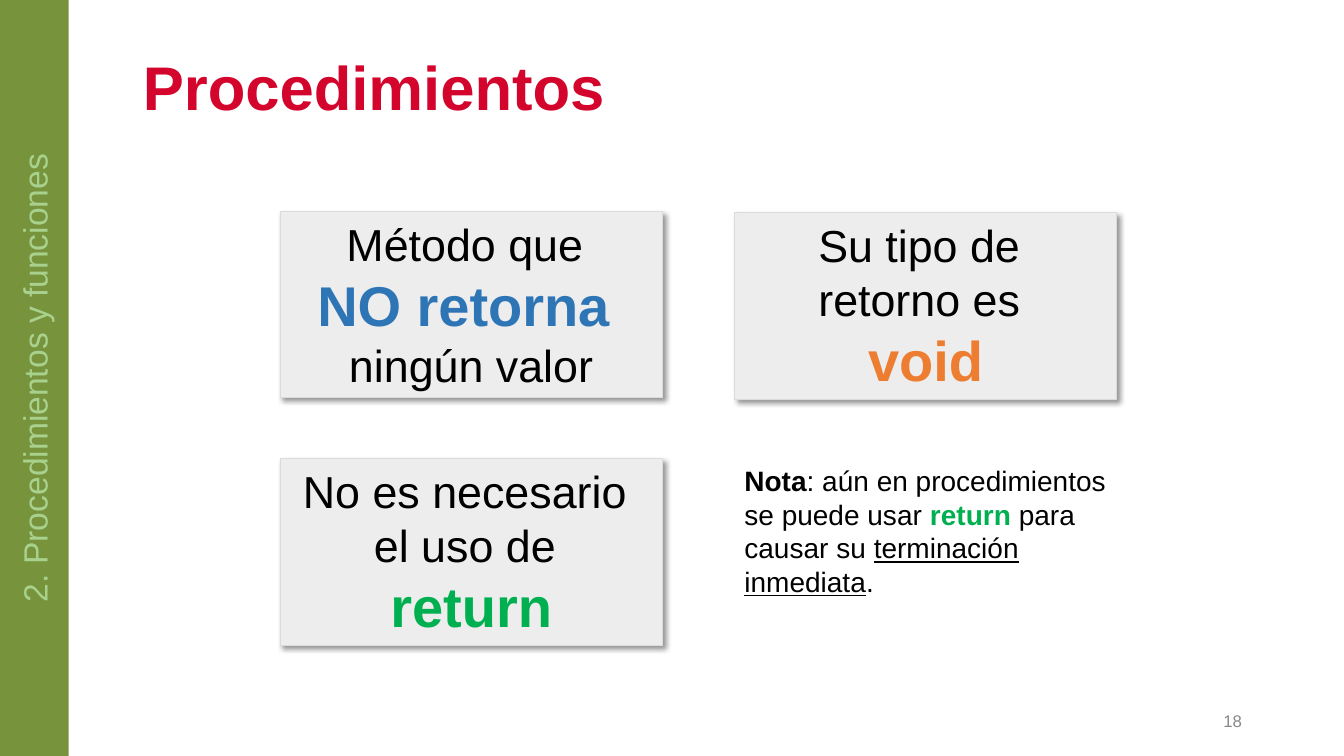
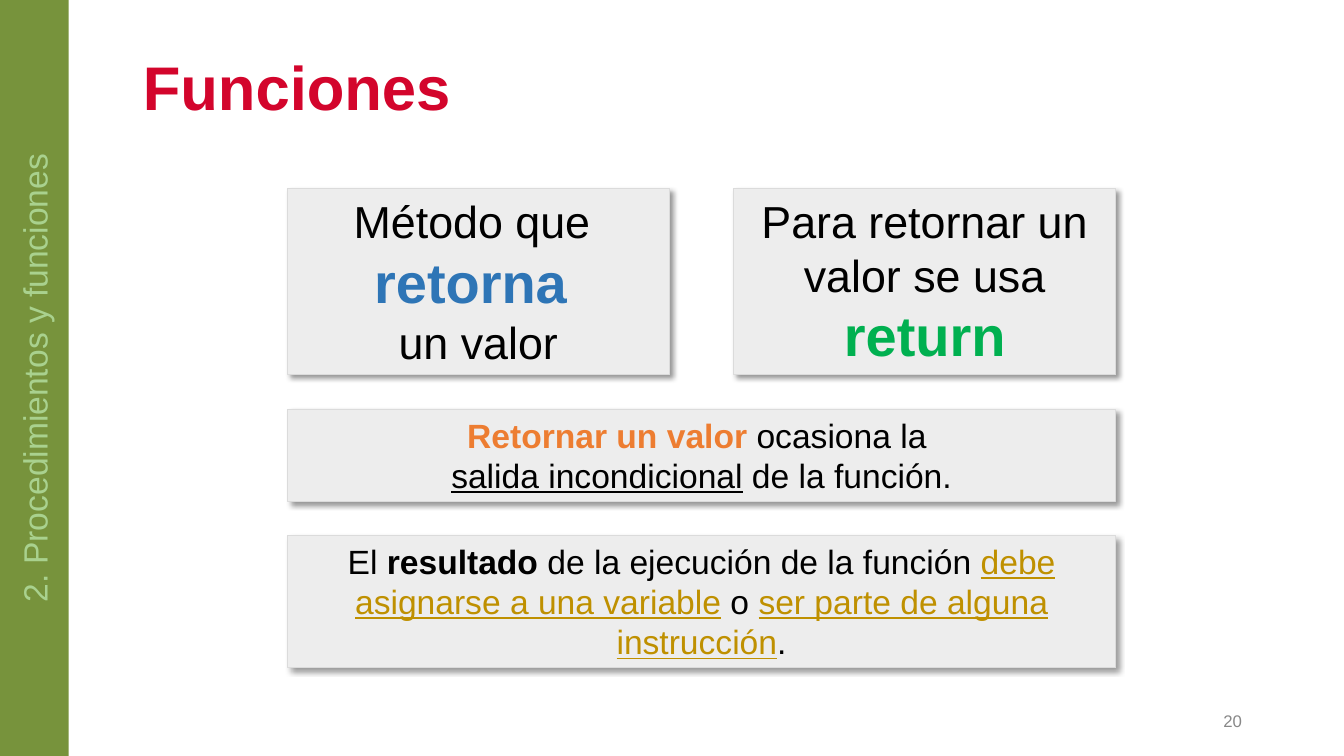
from lxml import etree
from pptx import Presentation
from pptx.dml.color import RGBColor
from pptx.enum.shapes import MSO_SHAPE
from pptx.enum.text import MSO_ANCHOR, MSO_AUTO_SIZE, PP_ALIGN
from pptx.oxml import parse_xml
from pptx.util import Cm, Pt

DML = "http://schemas.openxmlformats.org/drawingml/2006/main"
FONT = "Arial"
RED, GREEN, MINT, GRAY = "D3052C", "77933C", "A9D18E", "888888"
FILL, EDGE, BLACK = "EDEDED", "DBDBDB", "000000"
BLUE, ORANGE, LEAF, GOLD = "2E75B6", "ED7D31", "00B050", "BF9000"

# Run styles: size in points, colour and font switches
PLAIN = dict(color=BLACK)
BOLD = dict(color=BLACK, bold=True)
UNDER = dict(color=BLACK, underline=True)
LINK = dict(color=GOLD, underline=True)
BREAK = "\n"

# Card size and the gaps between cards, in cm
WIDE, HIGH = 9.63, 4.7


def paint(target, value):
    target.rgb = RGBColor.from_string(value)


def key(color, size=40):
    return dict(color=color, bold=True, size=size)


def write(frame, paras, size, align=PP_ALIGN.LEFT, **attrs):
    """Fill a frame with paragraphs, each a list of (text, style) pairs."""
    frame.word_wrap = True
    for name, value in attrs.items():
        setattr(frame, name, value)
    for i, runs in enumerate(paras):
        para = frame.add_paragraph() if i else frame.paragraphs[0]
        para.alignment = align
        for text, style in runs:
            if text == BREAK:
                para.add_line_break()
                continue
            run = para.add_run()
            run.text = text
            look = {"name": FONT, "size": size, **style}
            paint(run.font.color, look.pop("color"))
            look["size"] = Pt(look["size"])
            for name, value in look.items():
                setattr(run.font, name, value)


def label(slide, box, paras, size, **attrs):
    shape = slide.shapes.add_textbox(*map(Cm, box))
    write(shape.text_frame, paras, size, **attrs)
    return shape


def block(slide, box, fill):
    shape = slide.shapes.add_shape(MSO_SHAPE.RECTANGLE, *map(Cm, box))
    shape.shadow.inherit = False
    shape.fill.solid()
    paint(shape.fill.fore_color, fill)
    return shape


def shade(shape):
    """Give a shape a soft shadow to its lower right."""
    list_ = shape.element.spPr.find(f"{{{DML}}}effectLst")
    list_.append(parse_xml(
        f'<a:outerShdw xmlns:a="{DML}" blurRad="{Pt(4)}" dist="{Pt(3)}" '
        f'dir="{45 * 60000}" algn="tl" rotWithShape="0">'
        f'<a:srgbClr val="{BLACK}"><a:alpha val="40000"/></a:srgbClr>'
        '</a:outerShdw>'))


def card(slide, box, paras, size=32):
    shape = block(slide, box, FILL)
    paint(shape.line.color, EDGE)
    shape.line.width = Pt(0.75)
    shade(shape)
    write(shape.text_frame, paras, size, PP_ALIGN.CENTER,
          vertical_anchor=MSO_ANCHOR.TOP,
          auto_size=MSO_AUTO_SIZE.SHAPE_TO_FIT_TEXT)


def base(deck, title, number):
    """Add a slide with title, page number and side band."""
    slide = deck.slides.add_slide(deck.slide_layouts[6])
    mid = dict(vertical_anchor=MSO_ANCHOR.MIDDLE)
    head = label(slide, (3.35, 1.19, 28.19, 2.18),
                 [[(title, dict(color=RED, bold=True))]], 44, **mid)
    head.text_frame.paragraphs[0].line_spacing = 0.9
    label(slide, (23.93, 17.65, 7.62, 1.02),
          [[(str(number), dict(color=GRAY))]], 12, align=PP_ALIGN.RIGHT, **mid)
    band = block(slide, (0, 0, 1.73, 19.05), GREEN)
    band.line.fill.background()
    write(band.text_frame,
          [[("2. Procedimientos y funciones", dict(color=MINT))]],
          24, PP_ALIGN.CENTER, **mid)
    band.text_frame._txBody.bodyPr.set("vert", "vert270")
    return slide


def procs(slide, left, top):
    """Three cards and a note on a two by two grid."""
    right, low = left + WIDE + 1.82, top + HIGH + 1.53
    cards = [
        (left, top, [[("Método que ", PLAIN)],
                     [("NO retorna ", key(BLUE))],
                     [("ningún valor", PLAIN)]]),
        (right, top + 0.03, [[("Su tipo de ", PLAIN)],
                             [("retorno es ", PLAIN)],
                             [("void", key(ORANGE))]]),
        (left, low, [[("No es necesario ", PLAIN)],
                     [("el uso de ", PLAIN)],
                     [("return", key(LEAF))]]),
    ]
    for x, y, paras in cards:
        card(slide, (x, y, WIDE, HIGH), paras)
    note = [("Nota", BOLD),
            (": aún en procedimientos se puede usar ", PLAIN),
            ("return", key(LEAF, 20)),
            (" para causar su ", PLAIN),
            ("terminación inmediata", UNDER),
            (".", PLAIN)]
    label(slide, (right, low, WIDE, 3.68), [note], 20,
          auto_size=MSO_AUTO_SIZE.SHAPE_TO_FIT_TEXT)


def funcs(slide, left, top):
    """Two cards above two bars of their joint width."""
    gap, full = 0.87, 20.88
    pair = [
        [[("Método que ", PLAIN)],
         [("retorna ", key(BLUE))],
         [("un valor", PLAIN)]],
        [[("Para retornar un valor se usa", PLAIN)],
         [("return", key(LEAF))]],
    ]
    for i, paras in enumerate(pair):
        card(slide, (left + i * (full - WIDE), top, WIDE, HIGH), paras)
    bars = [
        (2.31, [("Retornar un valor", key(ORANGE, 24)),
                (" ocasiona la ", PLAIN),
                (BREAK, PLAIN),
                ("salida incondicional", UNDER),
                (" de la función.", PLAIN)]),
        (3.33, [("El ", PLAIN),
                ("resultado", BOLD),
                (" de la ejecución de la función ", PLAIN),
                ("debe asignarse a una variable", LINK),
                (" o ", PLAIN),
                ("ser parte de alguna instrucción", LINK),
                (".", PLAIN)]),
    ]
    y = top + HIGH + gap
    for high, runs in bars:
        card(slide, (left, y, full, high), [runs], 24)
        y += high + gap


def main():
    deck = Presentation()
    deck.slide_width, deck.slide_height = Cm(33.87), Cm(19.05)
    procs(base(deck, "Procedimientos", 18), 7.06, 5.33)
    funcs(base(deck, "Funciones", 20), 7.24, 4.75)
    deck.save("out.pptx")


if __name__ == "__main__":
    main()
